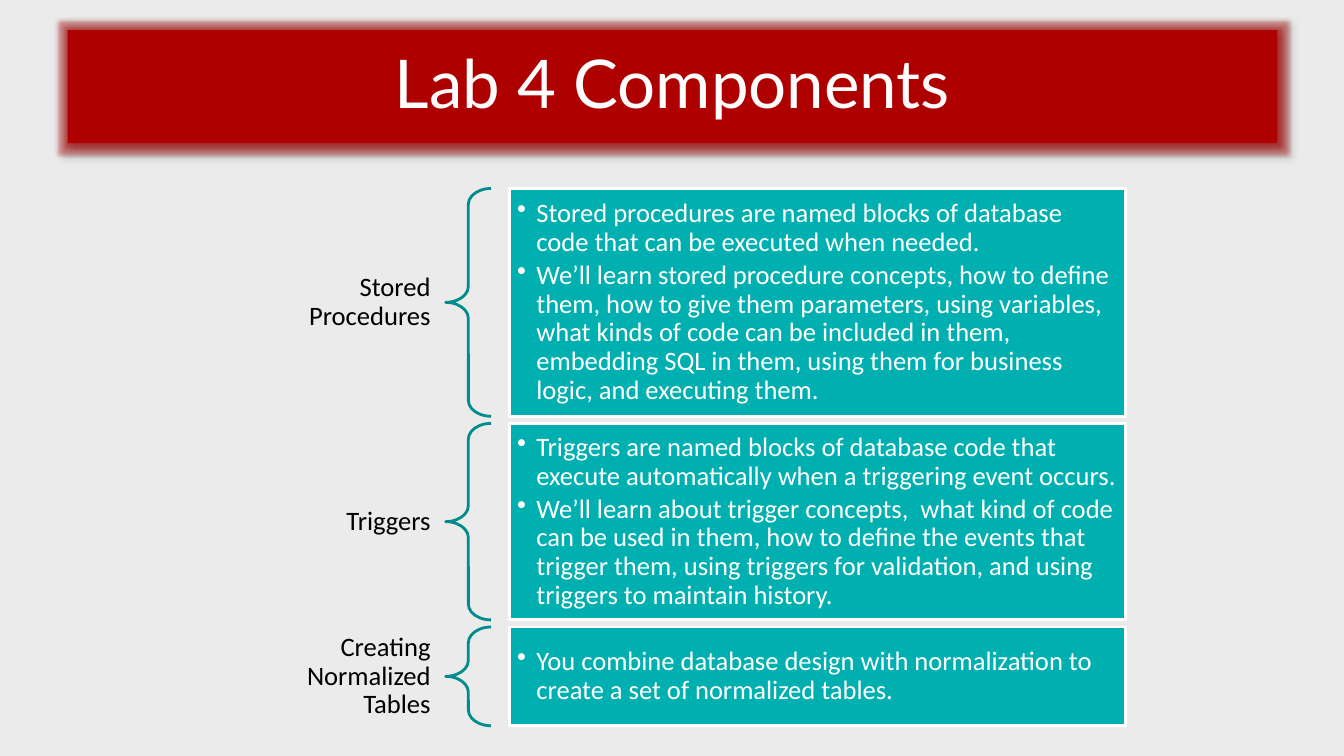
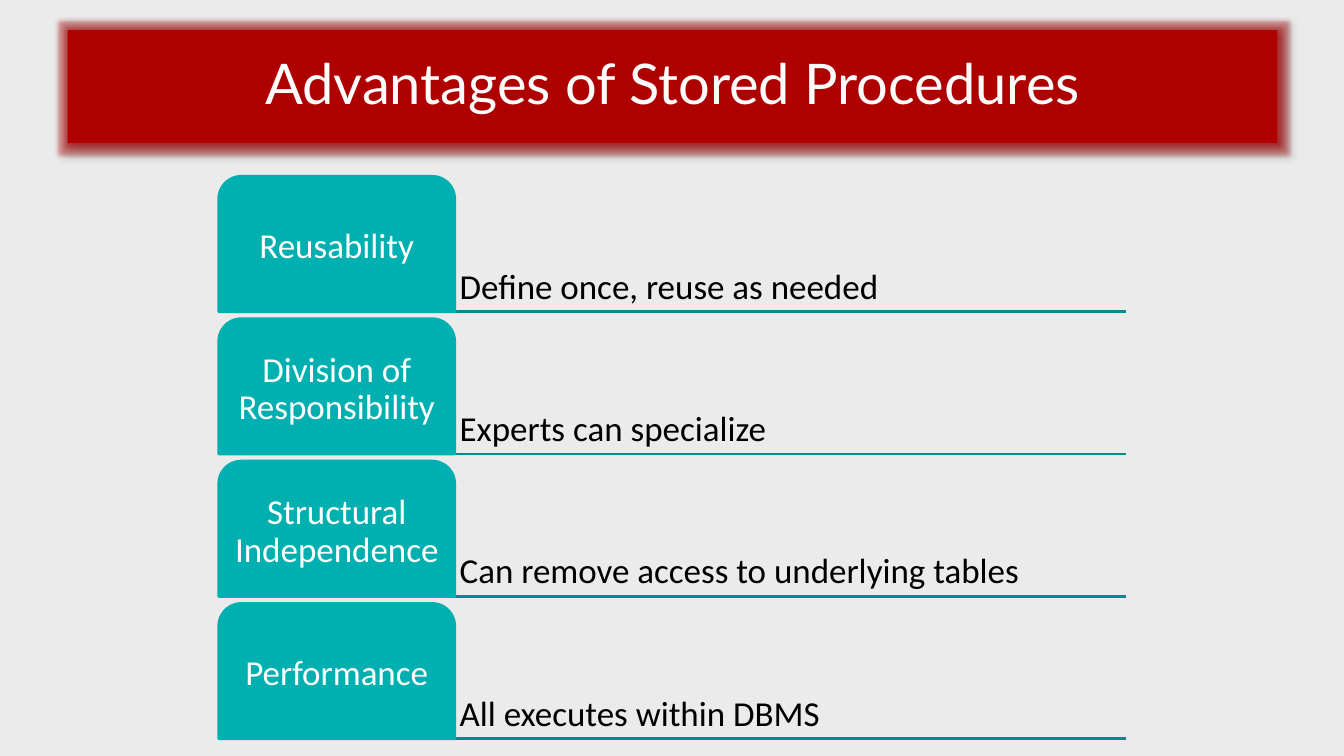
from dataclasses import dataclass

from lxml import etree
from pptx import Presentation
from pptx.dml.color import RGBColor
from pptx.enum import shapes, text
from pptx.oxml import ns, parse_xml
from pptx.util import Inches, Pt


@dataclass(frozen=True)
class Theme:
    background: str = "EBEBEB"
    banner: str = "AF0000"
    banner_text: str = "FEFCFC"
    panel: str = "00AFAF"
    accent: str = "008C8C"
    dark_text: str = "000000"
    light: str = "FFFFFF"
    title_font: str = "Lato"
    body_font: str = "Calibri"
    title_size: int = 48
    long_title_size: int = 40
    detail_size: int = 19
    row_size: int = 25
    line_width: int = 2
    line_spacing: float = 0.9
    paragraph_gap: int = 3


@dataclass(frozen=True)
class Box:
    left: float
    top: float
    width: float
    height: float

    def inches(self):
        return [Inches(n) for n in (self.left, self.top, self.width, self.height)]


THEME = Theme()
ALIGN = text.PP_ALIGN
ANCHOR = text.MSO_ANCHOR
SHAPE = shapes.MSO_SHAPE

BANNER_BOX = Box(0.67, 0.3, 12, 1.12)
COMPONENTS_BOX = Box(2.17, 1.87, 8.99, 5.34)
ADVANTAGES_BOX = Box(2.17, 1.75, 9, 5.58)
ROW_GAP = 0.07

# Each component: label, row height, bullets
COMPONENTS = [
    ("Stored Procedures", 2.26, [
        "Stored procedures are named blocks of database code that can be "
        "executed when needed.",
        "We’ll learn stored procedure concepts, how to define them, how to give "
        "them parameters, using variables, what kinds of code can be included "
        "in them, embedding SQL in them, using them for business logic, and "
        "executing them.",
    ]),
    ("Triggers", 1.95, [
        "Triggers are named blocks of database code that execute automatically "
        "when a triggering event occurs.",
        "We’ll learn about trigger concepts,  what kind of code can be used in "
        "them, how to define the events that trigger them, using triggers for "
        "validation, and using triggers to maintain history.",
    ]),
    ("Creating Normalized Tables", 0.98, [
        "You combine database design with normalization to create a set of "
        "normalized tables.",
    ]),
]

ADVANTAGES = [
    ("Reusability", "Define once, reuse as needed"),
    ("Division of Responsibility", "Experts can specialize"),
    ("Structural Independence", "Can remove access to underlying tables"),
    ("Performance", "All executes within DBMS"),
]


def rgb(value):
    return RGBColor.from_string(value)


def add_box(slide, kind, box, fill=None, line=None):
    shape = slide.shapes.add_shape(kind, *box.inches())
    shape.shadow.inherit = False
    if fill:
        shape.fill.solid()
        shape.fill.fore_color.rgb = rgb(fill)
    else:
        shape.fill.background()
    if line:
        shape.line.color.rgb = rgb(line)
        shape.line.width = Pt(THEME.line_width)
    else:
        shape.line.fill.background()
    return shape


def add_bullet(paragraph, indent=0.19):
    properties = paragraph._p.get_or_add_pPr()
    properties.set("marL", str(Inches(indent)))
    properties.set("indent", str(-Inches(indent)))
    etree.SubElement(properties, ns.qn("a:buChar")).set("char", "•")


def write(shape, lines, size, color, align=ALIGN.LEFT, anchor=ANCHOR.MIDDLE,
          insets=(0.05, 0.05), font=THEME.body_font, bullets=False, wrap=True):
    """Fill a shape with paragraphs; insets are horizontal and vertical."""
    frame = shape.text_frame
    frame.word_wrap = wrap
    frame.vertical_anchor = anchor
    frame.margin_left = frame.margin_right = Inches(insets[0])
    frame.margin_top = frame.margin_bottom = Inches(insets[1])
    for index, line in enumerate(lines):
        paragraph = frame.add_paragraph() if index else frame.paragraphs[0]
        paragraph.alignment = align
        paragraph.line_spacing = THEME.line_spacing
        if index < len(lines) - 1:
            paragraph.space_after = Pt(THEME.paragraph_gap)
        if bullets:
            add_bullet(paragraph)
        run = paragraph.add_run()
        run.text = line
        run.font.name = font
        run.font.size = Pt(size)
        run.font.color.rgb = rgb(color)


def add_banner_effects(shape):
    """Give the banner a red glow and a soft shadow to the lower right."""
    properties = shape._element.spPr
    properties.remove(properties.find(ns.qn("a:effectLst")))
    properties.append(parse_xml(
        f'<a:effectLst {ns.nsdecls("a")}>'
        f'<a:glow rad="{Pt(5)}"><a:srgbClr val="{THEME.banner}">'
        '<a:alpha val="40000"/></a:srgbClr></a:glow>'
        f'<a:outerShdw blurRad="{Pt(4)}" dist="{Pt(3)}" dir="2700000" '
        'algn="tl" rotWithShape="0"><a:srgbClr val="000000">'
        '<a:alpha val="40000"/></a:srgbClr></a:outerShdw></a:effectLst>'))


def add_titled_slide(presentation, title, size):
    slide = presentation.slides.add_slide(presentation.slide_layouts[6])
    slide.background.fill.solid()
    slide.background.fill.fore_color.rgb = rgb(THEME.background)
    banner = add_box(slide, SHAPE.RECTANGLE, BANNER_BOX, THEME.banner)
    add_banner_effects(banner)
    write(banner, [title], size, THEME.banner_text, ALIGN.CENTER,
          font=THEME.title_font, wrap=False)
    return slide


def add_component(slide, box, label, bullets):
    label_width, brace_width, brace_gap = 2.25, 0.45, 0.18
    brace_left = box.left + label_width
    panel_left = brace_left + brace_width + brace_gap
    panel_width = box.left + box.width - panel_left

    label_box = Box(box.left, box.top, label_width, box.height)
    write(slide.shapes.add_textbox(*label_box.inches()), [label],
          THEME.detail_size, THEME.dark_text, ALIGN.RIGHT, insets=(0.15, 0.05))

    brace = add_box(slide, SHAPE.LEFT_BRACE,
                    Box(brace_left, box.top, brace_width, box.height),
                    line=THEME.accent)
    brace.adjustments[0] = 0.35

    panel = add_box(slide, SHAPE.RECTANGLE,
                    Box(panel_left, box.top, panel_width, box.height),
                    THEME.panel, THEME.light)
    write(panel, bullets, THEME.detail_size, THEME.light,
          insets=(0.08, 0.08), bullets=True)


def add_rule(slide, left, right, y):
    rule = slide.shapes.add_connector(
        shapes.MSO_CONNECTOR.STRAIGHT,
        Inches(left), Inches(y), Inches(right), Inches(y))
    rule.line.color.rgb = rgb(THEME.accent)
    rule.line.width = Pt(THEME.line_width)
    etree.SubElement(rule._element.spPr, ns.qn("a:effectLst"))


def add_advantage(slide, box, name, benefit):
    tab_width = box.width * 0.26
    add_rule(slide, box.left, box.left + box.width, box.top + box.height)

    benefit_box = Box(box.left + tab_width, box.top,
                      box.width - tab_width, box.height)
    write(slide.shapes.add_textbox(*benefit_box.inches()), [benefit],
          THEME.row_size, THEME.dark_text, anchor=ANCHOR.BOTTOM)

    tab = add_box(slide, SHAPE.ROUND_2_SAME_RECTANGLE,
                  Box(box.left, box.top, tab_width, box.height),
                  THEME.panel, THEME.panel)
    write(tab, [name], THEME.row_size, THEME.light, ALIGN.CENTER)


def build_components(presentation):
    slide = add_titled_slide(presentation, "Lab 4 Components", THEME.title_size)
    area = COMPONENTS_BOX
    top = area.top
    for label, height, bullets in COMPONENTS:
        add_component(slide, Box(area.left, top, area.width, height),
                      label, bullets)
        top += height + ROW_GAP


def build_advantages(presentation):
    slide = add_titled_slide(presentation, "Advantages of Stored Procedures",
                             THEME.long_title_size)
    area = ADVANTAGES_BOX
    pitch = (area.height + ROW_GAP) / len(ADVANTAGES)
    for index, (name, benefit) in enumerate(ADVANTAGES):
        row = Box(area.left, area.top + index * pitch,
                  area.width, pitch - ROW_GAP)
        add_advantage(slide, row, name, benefit)


def main():
    presentation = Presentation()
    presentation.slide_width = Inches(13.33)
    presentation.slide_height = Inches(7.5)
    build_components(presentation)
    build_advantages(presentation)
    presentation.save("out.pptx")


if __name__ == "__main__":
    main()
